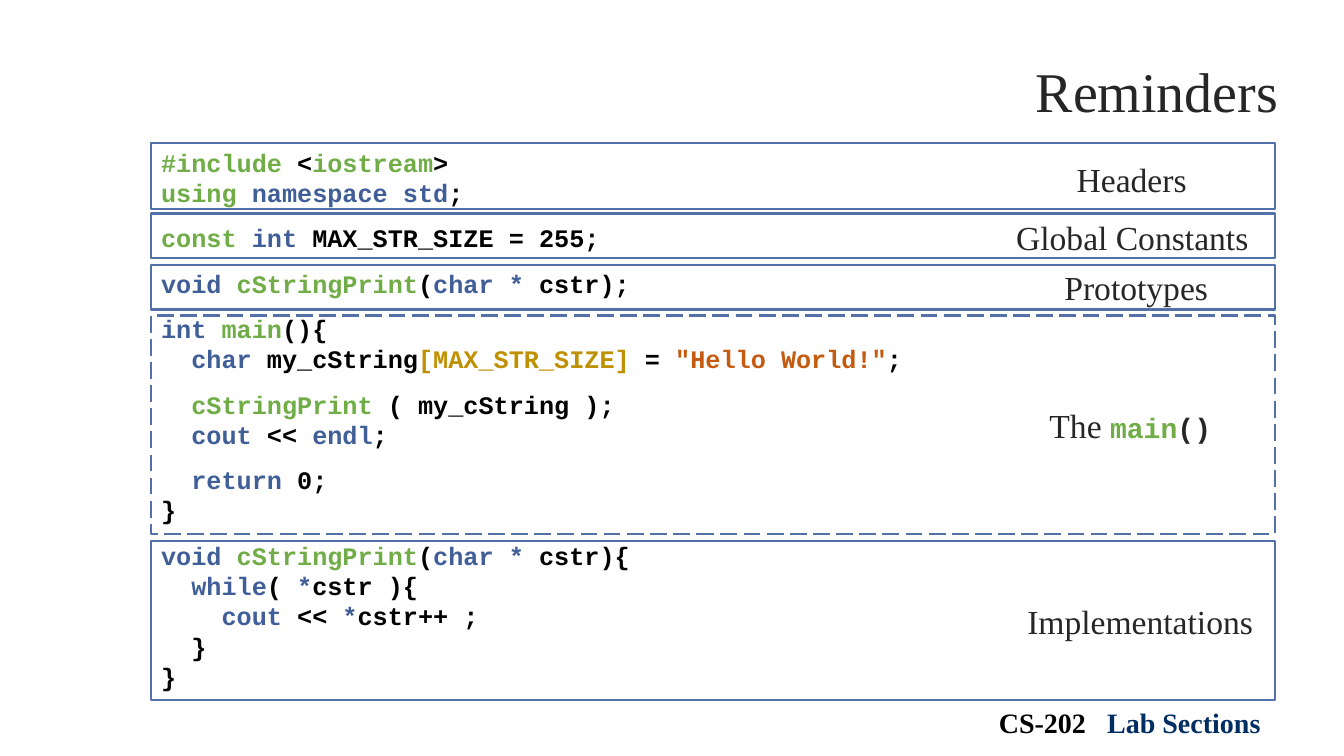
from pptx import Presentation
from pptx.dml.color import RGBColor
from pptx.enum.dml import MSO_LINE
from pptx.enum.shapes import MSO_SHAPE
from pptx.enum.text import MSO_ANCHOR, PP_ALIGN
from pptx.util import Cm, Pt

RECT = MSO_SHAPE.RECTANGLE
LONG_DASH = MSO_LINE.LONG_DASH
TOP, BOTTOM = MSO_ANCHOR.TOP, MSO_ANCHOR.BOTTOM
LEFT, CENTER, RIGHT = PP_ALIGN.LEFT, PP_ALIGN.CENTER, PP_ALIGN.RIGHT

BLACK = RGBColor(0x00, 0x00, 0x00)
DARK = RGBColor(0x26, 0x26, 0x26)
NAVY = RGBColor(0x00, 0x2E, 0x62)
GREEN = RGBColor(0x70, 0xAD, 0x47)
BLUE = RGBColor(0x40, 0x5F, 0x98)
GOLD = RGBColor(0xBF, 0x90, 0x00)
ORANGE = RGBColor(0xC5, 0x5A, 0x11)
FRAME = RGBColor(0x51, 0x71, 0xA8)

TITLE = {"name": "Times New Roman", "size": Pt(40)}
LABEL = {"name": "Times New Roman", "size": Pt(24)}
FOOTER = {"name": "Times New Roman", "size": Pt(20), "bold": True}
CODE = {"name": "Courier New", "size": Pt(18), "bold": True}
INLINE_CODE = {"name": "Courier New", "size": Pt(20), "bold": True}

SIGNATURE = [("void ", BLUE), ("cStringPrint", GREEN), ("(", BLACK), ("char * ", BLUE)]

# Blocks of lines; each line is a list of (text, colour) pieces
CODE_BLOCKS = [
    [[("#include", GREEN), (" <", BLACK), ("iostream", GREEN), (">", BLACK)],
     [("using ", GREEN), ("namespace std", BLUE), (";", BLACK)]],
    [[("const ", GREEN), ("int", BLUE), (" MAX_STR_SIZE = 255;", BLACK)]],
    [SIGNATURE + [("cstr);", BLACK)]],
    [[("int ", BLUE), ("main", GREEN), ("(){", BLACK)],
     [("  char ", BLUE), ("my_cString", BLACK), ("[MAX_STR_SIZE]", GOLD),
      (" = ", BLACK), ('"Hello World!"', ORANGE), (";", BLACK)]],
    [[("  cStringPrint", GREEN), (" ( my_cString );", BLACK)],
     [("  cout", BLUE), (" << ", BLACK), ("endl", BLUE), (";", BLACK)]],
    [[("  return", BLUE), (" 0;", BLACK)],
     [("}", BLACK)]],
    [SIGNATURE + [("cstr){", BLACK)],
     [("  while", BLUE), ("( ", BLACK), ("*", BLUE), ("cstr ){", BLACK)],
     [("    cout", BLUE), (" << ", BLACK), ("*", BLUE), ("cstr++ ;", BLACK)],
     [("  }", BLACK)],
     [("}", BLACK)]],
]

# Frame top and height, dash, label left, top and width, label pieces (cm)
SECTIONS = [
    (3.61, 1.65, None, 25.93, 3.89, 5.18, [("Headers", DARK)]),
    (5.38, 1.12, None, 25.12, 5.33, 6.83, [("Global Constants", DARK)]),
    (6.68, 1.12, None, 25.22, 6.6, 6.83, [("Prototypes", DARK)]),
    (7.95, 5.51, LONG_DASH, 25.07, 10.08, 6.83,
     [("The ", DARK), ("main", GREEN, INLINE_CODE), ("()", DARK, INLINE_CODE)]),
    (13.64, 4.01, None, 25.32, 15.01, 6.83, [("Implementations", DARK)]),
]


class SlideBuilder:
    def __init__(self, prs):
        self.s = prs.slides.add_slide(prs.slide_layouts[6])

    def text_box(self, x, y, w, h, anchor=TOP):
        tf = self.s.shapes.add_textbox(Cm(x), Cm(y), Cm(w), Cm(h)).text_frame
        tf.word_wrap = True
        tf.vertical_anchor = anchor
        return tf

    def fill_paragraph(self, p, pieces, style, align=LEFT):
        """Add (text, colour[, own style]) pieces as runs."""
        p.alignment = align
        for text, color, *own in pieces:
            r = p.add_run()
            r.text = text
            for key, value in (own[0] if own else style).items():
                setattr(r.font, key, value)
            r.font.color.rgb = color
        return p

    def line(self, x, y, w, h, pieces, style, align=CENTER, anchor=TOP):
        """Place a text box with a single paragraph."""
        tf = self.text_box(x, y, w, h, anchor)
        return self.fill_paragraph(tf.paragraphs[0], pieces, style, align)

    def code(self, x, y, w, h, blocks):
        tf = self.text_box(x, y, w, h)
        for i, block in enumerate(blocks):
            for j, pieces in enumerate(block):
                first = i == j == 0
                p = tf.paragraphs[0] if first else tf.add_paragraph()
                self.fill_paragraph(p, pieces, CODE)
                if i and j == 0:
                    p.space_before = Pt(10.8)

    def frame(self, x, y, w, h, dash=None):
        sp = self.s.shapes.add_shape(RECT, Cm(x), Cm(y), Cm(w), Cm(h))
        sp.shadow.inherit = False
        sp.fill.background()
        sp.line.color.rgb = FRAME
        sp.line.width = Pt(1.5)
        if dash:
            sp.line.dash_style = dash


def main():
    prs = Presentation()
    prs.slide_width, prs.slide_height = Cm(33.87), Cm(19.05)
    b = SlideBuilder(prs)

    b.line(2.69, 1.45, 29.77, 1.8, [("Reminders", DARK)], TITLE, RIGHT, BOTTOM)
    footer = b.line(24.1, 17.65, 8.74, 1.12,
                    [("CS-202", BLACK), (" ", BLACK), ("Lab Sections", NAVY)], FOOTER)
    # Widen the single space by 10 pt of character spacing
    footer.runs[1].font._element.set("spc", "1000")

    b.code(3.81, 3.58, 29.03, 14.07, CODE_BLOCKS)
    for top, height, dash, x, y, w, pieces in SECTIONS:
        b.frame(3.81, top, 28.32, height, dash)
        b.line(x, y, w, 1.27, pieces, LABEL)

    prs.save("out.pptx")


if __name__ == "__main__":
    main()
